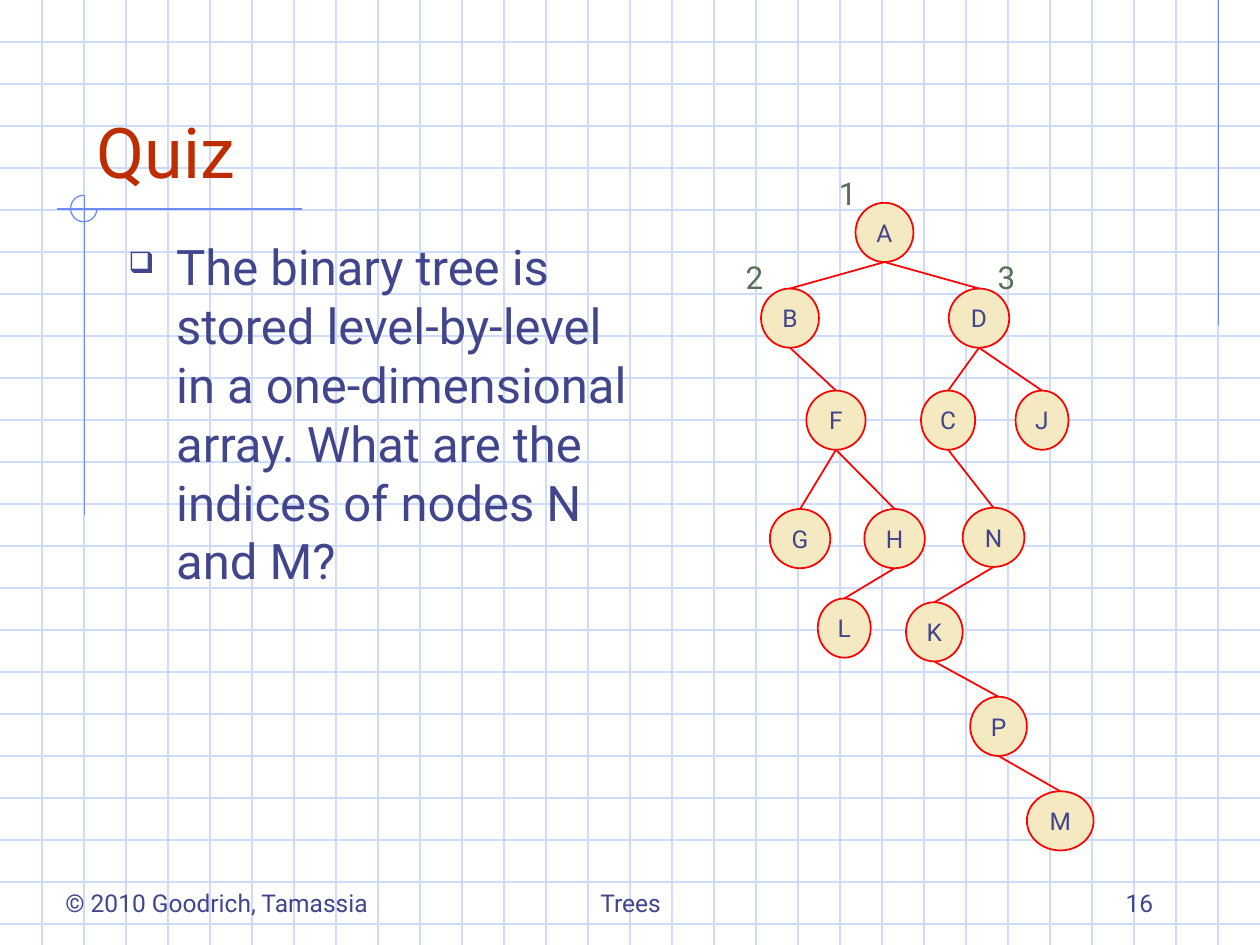
from lxml.etree import SubElement
from pptx import Presentation
from pptx.dml.color import RGBColor
from pptx.enum.shapes import MSO_CONNECTOR as Connector, MSO_SHAPE as Preset
from pptx.enum.text import MSO_ANCHOR as Anchor, PP_ALIGN as Align
from pptx.oxml.ns import qn
from pptx.util import Inches, Pt

GRID = RGBColor(0xCF, 0xDB, 0xFD)
RULE = RGBColor(0x6F, 0x89, 0xF7)
RED = RGBColor(0xFF, 0x00, 0x00)
CREAM = RGBColor(0xF4, 0xE9, 0xC1)
NAVY = RGBColor(0x40, 0x45, 0x8C)
RUST = RGBColor(0xBE, 0x2D, 0x00)
GREEN = RGBColor(0x57, 0x70, 0x52)

WIDTH, HEIGHT = 10, 7.5
NODE_HEIGHT = 0.47
NODES = {
    "A": (6.79, 1.61, 0.46),
    "B": (6.04, 2.29, 0.46),
    "D": (7.53, 2.29, 0.48),
    "F": (6.4, 3.1, 0.47),
    "C": (7.31, 3.1, 0.43),
    "J": (8.06, 3.1, 0.42),
    "G": (6.11, 4.04, 0.48),
    "H": (6.86, 4.04, 0.48),
    "N": (7.64, 4.03, 0.49),
    "L": (6.49, 4.75, 0.42),
    "K": (7.19, 4.78, 0.45),
    "P": (7.7, 5.53, 0.45),
    "M": (8.15, 6.28, 0.53),
}
EDGES = ["AB", "AD", "BF", "DC", "DJ", "FG", "FH", "CN", "HL", "NK", "KP", "PM"]
INDICES = [("1", 6.56, 1.33), ("2", 5.82, 2), ("3", 7.82, 2)]
FOOTERS = [
    ("© 2010 Goodrich, Tamassia", 0.42, 2.75, Align.LEFT),
    ("Trees", 3.42, 3.17, Align.CENTER),
    ("16", 7.17, 2.08, Align.RIGHT),
]
QUESTION = (
    "The binary tree is stored level-by-level in a one-dimensional array. "
    "What are the indices of nodes N and M?"
)


class SlideBuilder:
    """Draws styled elements on the current slide."""

    font = "Roboto"

    def __init__(self, slide):
        self.slide = slide

    def line(self, x1, y1, x2, y2, color, weight=0.75):
        connector = self.slide.shapes.add_connector(
            Connector.STRAIGHT, Inches(x1), Inches(y1), Inches(x2), Inches(y2)
        )
        connector.line.color.rgb = color
        connector.line.width = Pt(weight)
        SubElement(connector._element.spPr, qn("a:effectLst"))

    def fill_text(self, shape, text, size, color, align, anchor, wrap):
        frame = shape.text_frame
        frame.word_wrap = wrap
        frame.vertical_anchor = anchor
        paragraph = frame.paragraphs[0]
        paragraph.alignment = align
        run = paragraph.add_run()
        run.text = text
        run.font.name = self.font
        run.font.size = Pt(size)
        run.font.color.rgb = color
        return paragraph

    def text(self, text, left, top, width, height, size, color,
             align=Align.LEFT, anchor=Anchor.TOP, wrap=True):
        box = self.slide.shapes.add_textbox(
            Inches(left), Inches(top), Inches(width), Inches(height)
        )
        return self.fill_text(box, text, size, color, align, anchor, wrap)

    def bullet(self, paragraph, char, color, percent, indent):
        properties = paragraph._p.get_or_add_pPr()
        properties.set("marL", str(Inches(indent)))
        properties.set("indent", str(-Inches(indent)))
        bullet_color = SubElement(properties, qn("a:buClr"))
        SubElement(bullet_color, qn("a:srgbClr"), val=str(color))
        SubElement(properties, qn("a:buSzPct"), val=str(percent * 1000))
        SubElement(properties, qn("a:buChar"), char=char)

    def arc(self, left, top, size, start, end):
        shape = self.slide.shapes.add_shape(
            Preset.ARC, Inches(left), Inches(top), Inches(size), Inches(size)
        )
        shape.adjustments[0] = start * 0.6
        shape.adjustments[1] = end * 0.6
        shape.shadow.inherit = False
        shape.fill.background()
        shape.line.color.rgb = RULE
        shape.line.width = Pt(0.75)

    def node(self, letter, left, top, width):
        shape = self.slide.shapes.add_shape(
            Preset.OVAL, Inches(left), Inches(top), Inches(width), Inches(NODE_HEIGHT)
        )
        shape.shadow.inherit = False
        shape.fill.solid()
        shape.fill.fore_color.rgb = CREAM
        shape.line.color.rgb = RED
        shape.line.width = Pt(1)
        self.fill_text(shape, letter, 14, NAVY, Align.CENTER, Anchor.MIDDLE, False)

    def edge(self, parent, child):
        parent_left, parent_top, parent_width = NODES[parent]
        child_left, child_top, child_width = NODES[child]
        self.line(
            parent_left + parent_width / 2, parent_top + NODE_HEIGHT,
            child_left + child_width / 2, child_top, RED, 1,
        )


def main():
    presentation = Presentation()
    presentation.slide_width = Inches(WIDTH)
    presentation.slide_height = Inches(HEIGHT)
    builder = SlideBuilder(presentation.slides.add_slide(presentation.slide_layouts[6]))

    for row in range(1, 23):
        builder.line(0, row / 3, WIDTH, row / 3, GRID)
    for column in range(1, 30):
        builder.line(column / 3, 0, column / 3, HEIGHT, GRID)

    builder.line(9.67, 0, 9.67, 2.58, RULE)
    builder.line(2.4, 1.66, 0.45, 1.66, RULE)
    builder.line(0.67, 1.55, 0.67, 4.09, RULE)
    builder.arc(0.56, 1.55, 0.21, 0, 270)

    builder.text("Quiz", 0.67, 0.33, 8.5, 1.25, 40, RUST, anchor=Anchor.BOTTOM)
    question = builder.text(QUESTION, 0.92, 1.83, 4.17, 4.75, 28, NAVY)
    question.space_before = Pt(7)
    builder.bullet(question, "❑", NAVY, 60, 0.38)
    for text, left, width, align in FOOTERS:
        builder.text(text, left, 6.83, width, 0.5, 14, NAVY, align, Anchor.BOTTOM)

    for index, left, top in INDICES:
        builder.text(index, left, top, 0.34, 0.4, 18, GREEN, wrap=False)
    for letter, place in NODES.items():
        builder.node(letter, *place)
    for parent, child in EDGES:
        builder.edge(parent, child)

    presentation.save("out.pptx")


if __name__ == "__main__":
    main()
